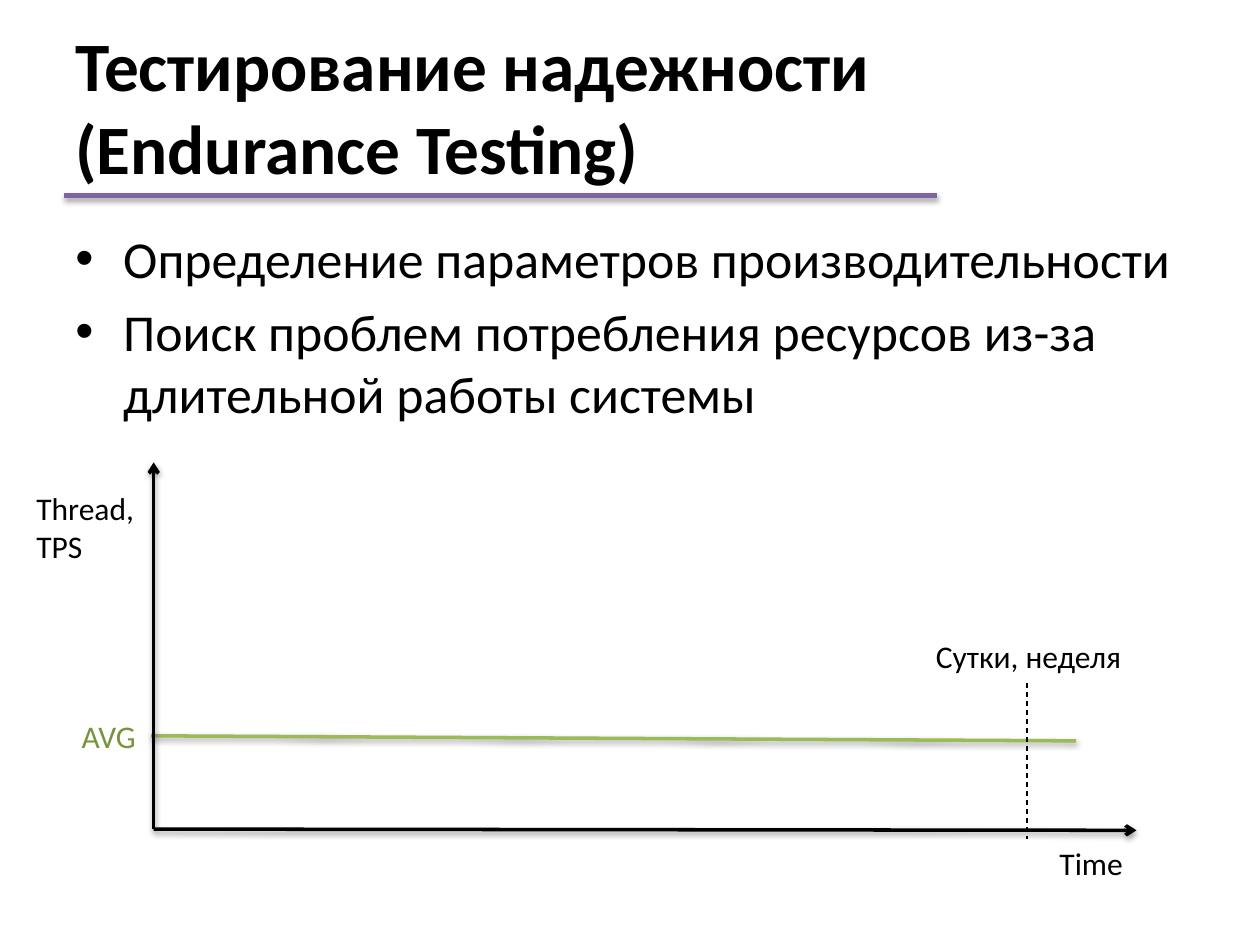
from dataclasses import dataclass
from typing import Optional

from lxml.etree import SubElement
from pptx import Presentation
from pptx.dml.color import RGBColor
from pptx.enum.dml import MSO_LINE
from pptx.enum.shapes import MSO_CONNECTOR
from pptx.enum.text import MSO_ANCHOR
from pptx.oxml.ns import qn
from pptx.slide import Slide
from pptx.util import Inches, Pt

BLACK = RGBColor(0x00, 0x00, 0x00)
GREEN = RGBColor(0x9B, 0xBB, 0x59)
DARK_GREEN = RGBColor(0x77, 0x93, 0x3C)
PURPLE = RGBColor(0x80, 0x64, 0xA2)
FONT_NAME = "Calibri"
BULLET_INDENT = Inches(0.38)


@dataclass
class Label:
    text: str
    left: float
    top: float
    width: float
    height: float = 0.4
    color: RGBColor = BLACK
    wrap: bool = True


@dataclass
class Line:
    start: tuple[float, float]
    end: tuple[float, float]
    color: RGBColor = BLACK
    width: float = 2
    arrow: bool = False
    dashed: bool = False
    shadow_opacity: Optional[int] = 38
    shadow_distance: float = 1.6


AXIS_LEFT, AXIS_BOTTOM = 1.22, 6.58
LIMIT_LEFT = 8.15

LABELS = [
    Label("Thread, TPS", 0.19, 3.83, 1.02, 0.71),
    Label("Time", 8.31, 6.65, 0.71, wrap=False),
    Label("AVG", 0.55, 5.64, 0.67, color=DARK_GREEN),
    Label("Сутки, неделя", 7.33, 5.01, 1.8),
]

LINES = [
    Line((1.2, 5.84), (8.54, 5.88), GREEN),
    Line((AXIS_LEFT, AXIS_BOTTOM), (AXIS_LEFT, 3.67), arrow=True),
    Line((AXIS_LEFT, AXIS_BOTTOM), (9.02, 6.59), arrow=True),
    Line((LIMIT_LEFT, 5.42), (LIMIT_LEFT, 6.66), width=0.75, dashed=True, shadow_opacity=None),
    Line((0.51, 1.55), (7.44, 1.55), PURPLE, 3, shadow_opacity=35, shadow_distance=1.8),
]


def add_text(slide: Slide, text: str, left: float, top: float, width: float, height: float, *,
             size: float = 18, color: RGBColor = BLACK, bold: bool = False, wrap: bool = True,
             bullets: bool = False, anchor: MSO_ANCHOR = MSO_ANCHOR.TOP) -> None:
    """Add a text box with one paragraph for each line of text."""
    shape = slide.shapes.add_textbox(Inches(left), Inches(top), Inches(width), Inches(height))
    frame = shape.text_frame
    frame.word_wrap = wrap
    frame.vertical_anchor = anchor
    frame.text = text
    for index, paragraph in enumerate(frame.paragraphs):
        if bullets:
            properties = paragraph._p.get_or_add_pPr()
            properties.set("marL", str(BULLET_INDENT))
            properties.set("indent", str(-BULLET_INDENT))
            SubElement(properties, qn("a:buFont"), typeface="Arial")
            SubElement(properties, qn("a:buChar"), char="•")
        if index:
            paragraph.space_before = Pt(size * 0.2)
        for run in paragraph.runs:
            run.font.name = FONT_NAME
            run.font.size = Pt(size)
            run.font.bold = bold
            run.font.color.rgb = color


def add_line(slide: Slide, line: Line) -> None:
    """Add a straight line with its arrowhead, dash and shadow."""
    points = [Inches(value) for value in (*line.start, *line.end)]
    connector = slide.shapes.add_connector(MSO_CONNECTOR.STRAIGHT, *points)
    connector.line.color.rgb = line.color
    connector.line.width = Pt(line.width)
    if line.dashed:
        connector.line.dash_style = MSO_LINE.DASH
    properties = connector._element.spPr
    if line.arrow:
        SubElement(properties.find(qn("a:ln")), qn("a:tailEnd"), type="arrow")
    effects = SubElement(properties, qn("a:effectLst"))
    if line.shadow_opacity is not None:
        shadow = SubElement(effects, qn("a:outerShdw"), blurRad=str(Pt(3.1)),
                            dist=str(Pt(line.shadow_distance)), dir="5400000", rotWithShape="0")
        shadow_color = SubElement(shadow, qn("a:srgbClr"), val=str(BLACK))
        SubElement(shadow_color, qn("a:alpha"), val=str(line.shadow_opacity * 1000))


def main() -> None:
    """Build the endurance testing slide."""
    presentation = Presentation()
    presentation.slide_width = Inches(10)
    presentation.slide_height = Inches(7.5)
    slide = presentation.slides.add_slide(presentation.slide_layouts[6])
    add_text(slide, "Тестирование надежности (Endurance Testing)", 0.5, 0.21, 9, 1.25,
             size=39.6, bold=True, anchor=MSO_ANCHOR.MIDDLE)
    add_text(slide, "Определение параметров производительности\n"
             "Поиск проблем потребления ресурсов из-за длительной работы системы",
             0.5, 1.75, 9, 1.69, size=29.6, bullets=True)
    for label in LABELS:
        add_text(slide, label.text, label.left, label.top, label.width, label.height,
                 color=label.color, wrap=label.wrap)
    for line in LINES:
        add_line(slide, line)
    presentation.save("out.pptx")


if __name__ == "__main__":
    main()
